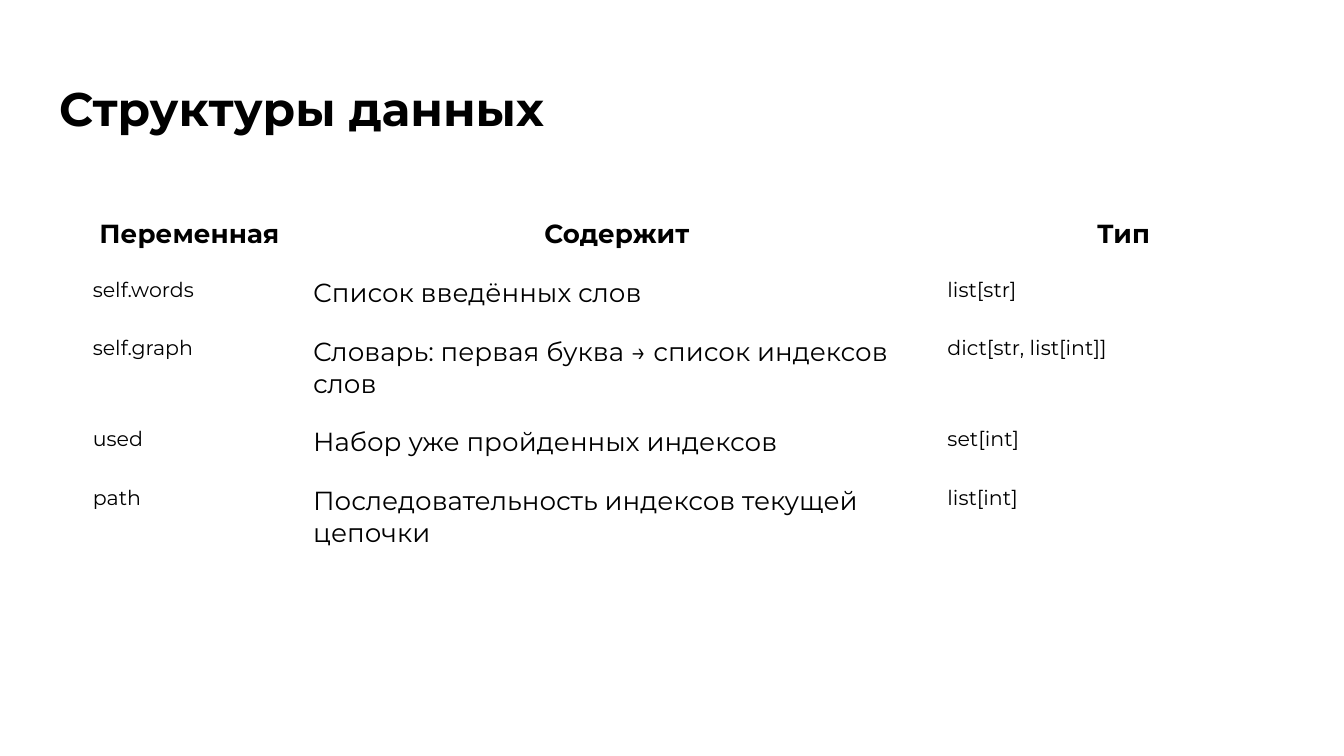
from pptx import Presentation
from pptx.dml.color import RGBColor
from pptx.enum.text import MSO_ANCHOR, PP_ALIGN
from pptx.util import Inches, Pt

LEFT, CENTER = PP_ALIGN.LEFT, PP_ALIGN.CENTER
TOP = MSO_ANCHOR.TOP

# Content
TITLE = "Структуры данных"
HEADER = ("Переменная", "Содержит", "Тип")
VARIABLES = [
    ("self.words", "Список введённых слов", "list[str]"),
    ("self.graph", "Словарь: первая буква → список индексов слов", "dict[str, list[int]]"),
    ("used", "Набор уже пройденных индексов", "set[int]"),
    ("path", "Последовательность индексов текущей цепочки", "list[int]"),
]

# Layout and style, in inches and points
SLIDE_WIDTH = 10
SLIDE_HEIGHT = SLIDE_WIDTH * 9 / 16
TITLE_BOX = (0.34, 0.49, 9.32, 0.63)
TABLE_LEFT, TABLE_TOP = 0.59, 1.49
COLUMN_WIDTHS = (1.64, 4.72, 2.82)
ROW_HEIGHT = 0.22  # minimum; rows grow with their text
PADDING = 0.1
FONT, BLACK = "Montserrat", "000000"
TITLE_SIZE, HEADER_SIZE = 25.2, 14
COLUMN_SIZES = (11, 14, 11)


def color(value):
    return RGBColor.from_string(value)


def set_padding(target):
    target.margin_left = target.margin_right = Inches(PADDING)
    target.margin_top = target.margin_bottom = Inches(PADDING)


def write(text_frame, text, size, bold=False, align=LEFT, spacing=1.0):
    paragraph = text_frame.paragraphs[0]
    paragraph.alignment = align
    paragraph.line_spacing = spacing
    run = paragraph.add_run()
    run.text = text
    run.font.name = FONT
    run.font.size = Pt(size)
    run.font.bold = bold
    run.font.color.rgb = color(BLACK)


presentation = Presentation()
presentation.slide_width = Inches(SLIDE_WIDTH)
presentation.slide_height = Inches(SLIDE_HEIGHT)
slide = presentation.slides.add_slide(presentation.slide_layouts[5])

# Title
title = slide.shapes.title
title.left, title.top, title.width, title.height = map(Inches, TITLE_BOX)
title.text_frame.vertical_anchor = TOP
title.text_frame.word_wrap = True
set_padding(title.text_frame)
write(title.text_frame, TITLE, TITLE_SIZE, bold=True)

# Table of variables
rows = [HEADER, *VARIABLES]
table = slide.shapes.add_table(
    len(rows), len(HEADER), Inches(TABLE_LEFT), Inches(TABLE_TOP),
    Inches(sum(COLUMN_WIDTHS)), Inches(ROW_HEIGHT * len(rows))).table
table.first_row = table.horz_banding = False
for column, width in zip(table.columns, COLUMN_WIDTHS):
    column.width = Inches(width)

for row_index, texts in enumerate(rows):
    table.rows[row_index].height = Inches(ROW_HEIGHT)
    for column_index, text in enumerate(texts):
        cell = table.cell(row_index, column_index)
        cell.fill.background()
        cell.vertical_anchor = TOP
        set_padding(cell)
        if row_index == 0:
            write(cell.text_frame, text, HEADER_SIZE, bold=True, align=CENTER, spacing=1.15)
        else:
            write(cell.text_frame, text, COLUMN_SIZES[column_index])

presentation.save("out.pptx")
